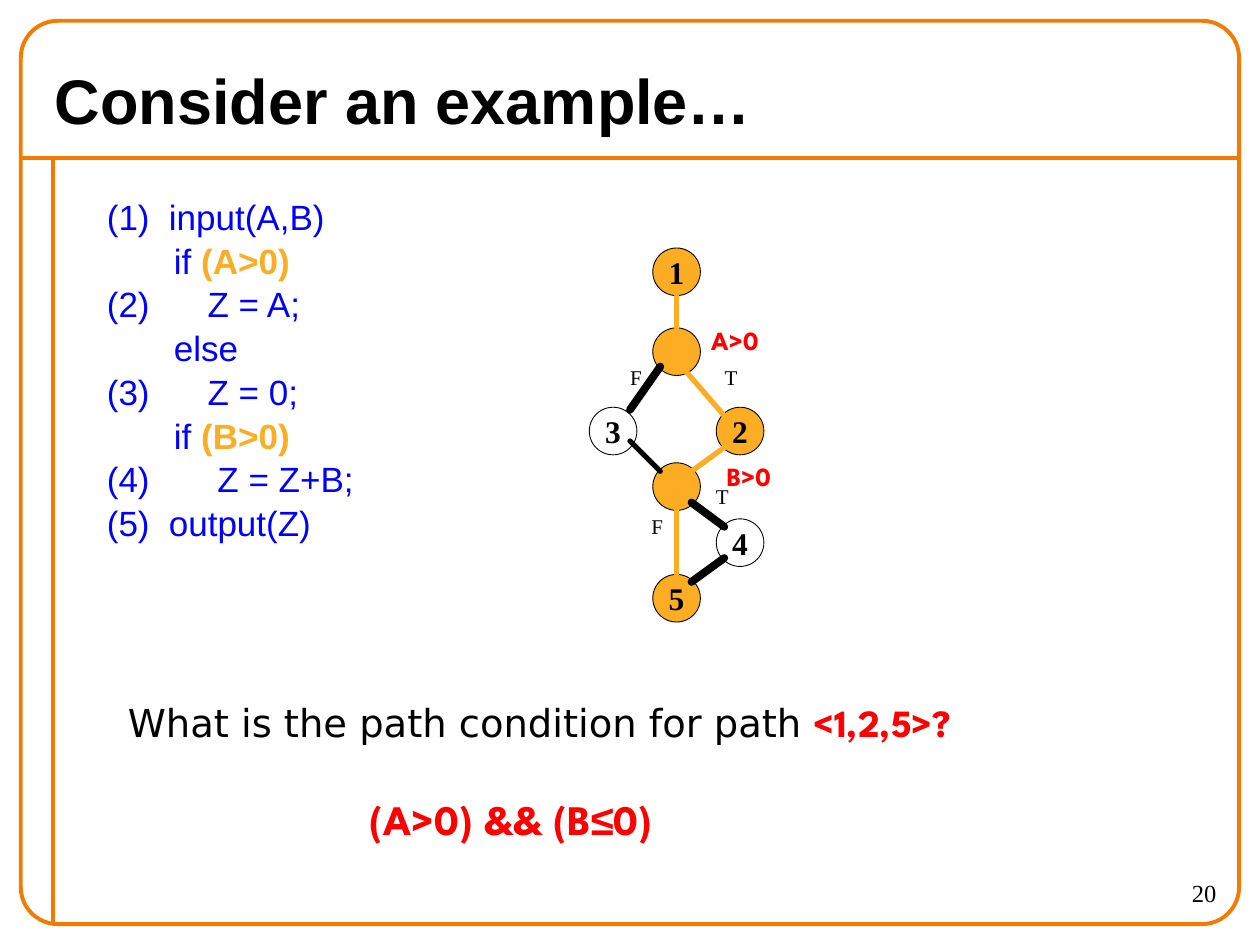
from pptx import Presentation
from pptx.dml.color import RGBColor
from pptx.enum.shapes import MSO_CONNECTOR, MSO_SHAPE
from pptx.enum.text import MSO_ANCHOR, MSO_AUTO_SIZE, PP_ALIGN
from pptx.oxml.ns import qn
from pptx.util import Cm, Pt
from lxml.etree import SubElement

HUES = {"frame": "F47A00", "path": "FDAD23", "code": "0000FF",
        "note": "FF0000", "ink": "000000", "blank": "FFFFFF"}
SANS, SERIF, WIDE, BRIEF = "Arial", "Times New Roman", "DejaVu Sans", "League Spartan"


def hue(name):
    return RGBColor.from_string(HUES[name])


def write(para, text, font=SERIF, size=12, color="ink", bold=False):
    run = para.add_run()
    run.text = text
    run.font.name, run.font.size, run.font.bold = font, Pt(size), bold
    run.font.color.rgb = hue(color)


class Board:
    def __init__(self, slide):
        self.slide = slide
        self.shapes = slide.shapes

    def place(self, shape, *box):
        shape.left, shape.top, shape.width, shape.height = map(Cm, box)
        return shape

    def title(self, text):
        frame = self.place(self.shapes.title, 0.85, 1.06, 23.7, 1.9).text_frame
        frame.auto_size = MSO_AUTO_SIZE.NONE
        frame.vertical_anchor = MSO_ANCHOR.MIDDLE
        frame.paragraphs[0].alignment = PP_ALIGN.LEFT
        write(frame.paragraphs[0], text, font=SANS, size=36, bold=True)

    def code(self, rows):
        """Each row is (step label, indent in cm, plain text, condition)."""
        frame = self.place(self.slide.placeholders[1], 1.9, 3.81, 8.26, 9.95).text_frame
        frame.auto_size = MSO_AUTO_SIZE.NONE
        for i, (step, depth, text, test) in enumerate(rows):
            para = frame.add_paragraph() if i else frame.paragraphs[0]
            para.space_before = Pt(1)
            props = para._p.get_or_add_pPr()
            props.set("marL", str(Cm(depth)))
            props.set("indent", str(-Cm(depth) if step else 0))
            SubElement(props, qn("a:buNone"))
            lead = f"{step}\t" if step else ""
            write(para, lead + text, font=SANS, size=20, color="code")
            if test:
                write(para, test, font=SANS, size=20, color="path", bold=True)

    def text(self, box, *runs, align=PP_ALIGN.LEFT, tight=False):
        """Each run is (text, format dict); tight drops insets and wrapping."""
        frame = self.shapes.add_textbox(*map(Cm, box)).text_frame
        frame.word_wrap = not tight
        if tight:
            frame.margin_left = frame.margin_right = 0
            frame.margin_top = frame.margin_bottom = 0
        para = frame.paragraphs[0]
        para.alignment = align
        for words, form in runs:
            write(para, words, **form)

    def label(self, text, *box, **form):
        self.text(box, (text, form), align=PP_ALIGN.CENTER, tight=True)

    def line(self, ends, color, width, cap="rnd"):
        link = self.shapes.add_connector(MSO_CONNECTOR.STRAIGHT, *map(Cm, ends))
        link.line.color.rgb = hue(color)
        link.line.width = Pt(width)
        link.line._get_or_add_ln().set("cap", cap)
        SubElement(link._element.spPr, qn("a:effectLst"))

    def frame(self, *box):
        card = self.shapes.add_shape(MSO_SHAPE.ROUNDED_RECTANGLE, *map(Cm, box))
        card.adjustments[0] = 0.041
        card.shadow.inherit = False
        card.fill.background()
        card.line.color.rgb = hue("frame")
        card.line.width = Pt(2.25)

    def node(self, x, y, text, fill, size=0.96):
        """Draw a graph node centred on (x, y)."""
        spot = self.shapes.add_shape(MSO_SHAPE.OVAL, Cm(x - size / 2),
                                     Cm(y - size / 2), Cm(size), Cm(size))
        spot.shadow.inherit = False
        spot.fill.solid()
        spot.fill.fore_color.rgb = hue(fill)
        spot.line.color.rgb = hue("ink")
        spot.line.width = Pt(0.5)
        if text:
            frame = spot.text_frame
            frame.margin_left = frame.margin_right = 0
            frame.margin_top = frame.margin_bottom = 0
            frame.vertical_anchor = MSO_ANCHOR.MIDDLE
            frame.word_wrap = False
            frame.paragraphs[0].alignment = PP_ALIGN.CENTER
            write(frame.paragraphs[0], text, size=18, bold=True)


def graph(board):
    mid, step = 13.64, 1.28
    left, right = mid - step, mid + step
    nodes = [(mid, 5.48, "1", "path"), (mid, 7.09, "", "path"),
             (right, 8.69, "2", "path"), (left, 8.69, "3", "blank"),
             (mid, 9.81, "", "path"), (right, 10.94, "4", "blank"),
             (mid, 12.06, "5", "path")]
    for node in nodes:
        board.node(*node)

    edges = [((mid, 5.97, mid, 6.6), "path", 3),
             ((13.77, 7.42, 14.6, 8.38), "path", 3),
             ((13.31, 7.39, 12.7, 8.26), "ink", 4.5),
             ((12.7, 8.89, 13.31, 9.5), "ink", 3),
             ((14.6, 9.02, 13.94, 9.5), "path", 3),
             ((13.94, 10.13, 14.6, 10.62), "ink", 4.5),
             ((14.6, 11.25, 13.94, 11.73), "ink", 4.5),
             ((mid, 10.29, mid, 11.58), "path", 3)]
    for edge in edges:
        board.line(*edge)

    for text, x, y in [("A>0", 14.33, 6.53), ("B>0", 14.61, 9.27)]:
        board.label(text, x, y, 0.97, 0.63,
                    font=BRIEF, size=15, color="note", bold=True)
    for text, x, y in [("F", 12.7, 7.34), ("T", 14.61, 7.34),
                       ("F", 13.13, 10.36), ("T", 14.43, 9.75)]:
        board.label(text, x, y, 0.24, 0.51)


def main():
    deck = Presentation()
    deck.slide_width, deck.slide_height = Cm(25.4), Cm(19.05)
    board = Board(deck.slides.add_slide(deck.slide_layouts[1]))

    board.line((0.43, 3.18, 24.97, 3.18), "frame", 2.25, cap="flat")
    board.line((1.06, 3.18, 1.06, 18.62), "frame", 2.25, cap="flat")
    board.frame(0.42, 0.42, 24.56, 18.21)
    board.text((22.23, 17.57, 2.54, 1.06), ("20", dict(size=14)),
               align=PP_ALIGN.RIGHT)

    board.title("Consider an example…")
    board.code([("(1)", 1.25, "input(A,B)", ""),
                ("", 1.35, "if ", "(A>0)"),
                ("(2)", 2.03, "Z = A;", ""),
                ("", 1.35, "else", ""),
                ("(3)", 2.03, "Z = 0;", ""),
                ("", 1.35, "if ", "(B>0)"),
                ("(4)", 2.23, "Z = Z+B;", ""),
                ("(5)", 1.25, "output(Z)", "")])
    graph(board)

    ask = dict(font=BRIEF, size=22, color="note", bold=True)
    board.text((2.33, 13.97, 19.25, 2.6),
               ("What is the path condition for path ", dict(font=WIDE, size=22)),
               ("<1,2,5>?", ask))
    reply = dict(ask, size=24)
    board.text((7.2, 15.88, 7.41, 1.27), ("(A>0) && (B", reply),
               ("≤", dict(reply, font=SANS)), ("0)", reply))
    deck.save("out.pptx")


if __name__ == "__main__":
    main()
